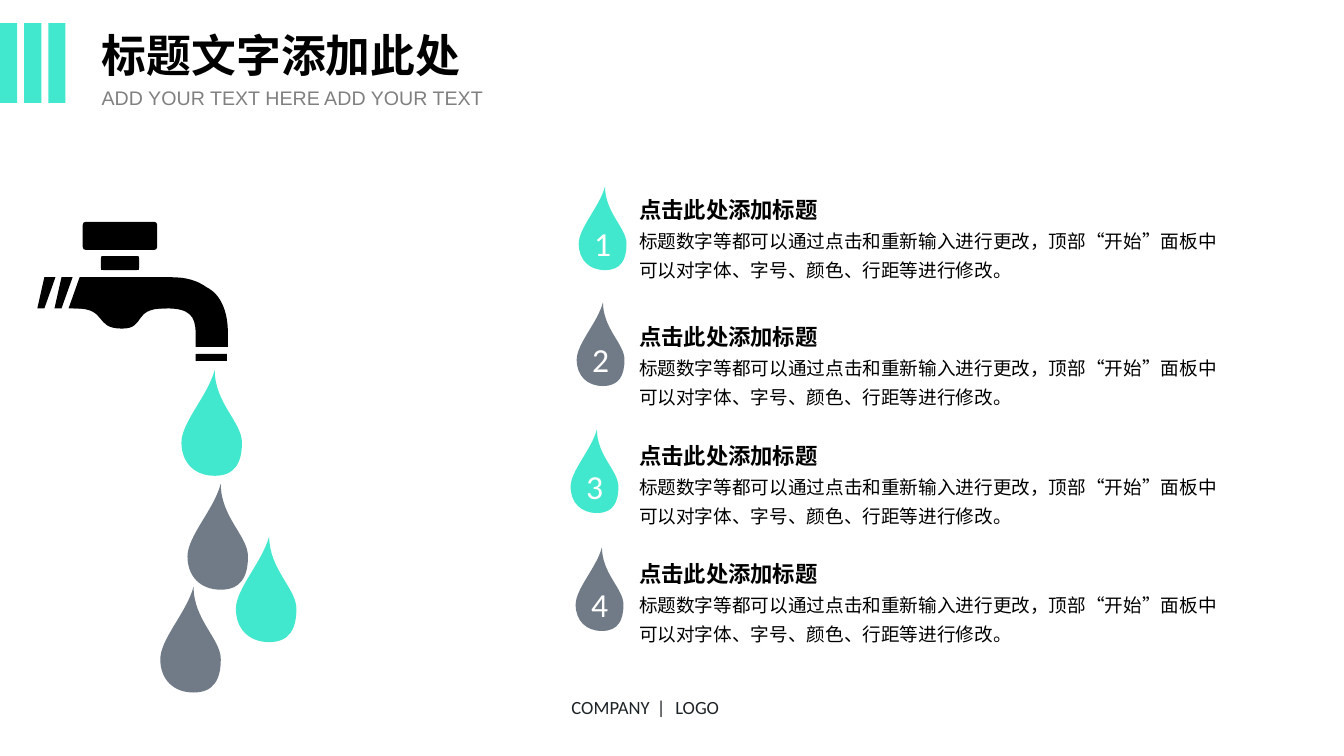
from typing import NamedTuple

from lxml.etree import SubElement
from pptx import Presentation
from pptx.dml.color import RGBColor
from pptx.enum.shapes import MSO_SHAPE as Preset
from pptx.enum.text import MSO_ANCHOR as Anchor, MSO_AUTO_SIZE as AutoSize, PP_ALIGN as Align
from pptx.oxml.ns import qn
from pptx.util import Inches, Pt

TEAL, SLATE, BLACK, WHITE = "42E8CE", "707B87", "000000", "FFFFFF"
GRAY, INK = "808080", "1E2327"
HEADING = "点击此处添加标题"
BODY = "标题数字等都可以通过点击和重新输入进行更改，顶部“开始”面板中可以对字体、字号、颜色、行距等进行修改。"

Point = tuple[float, float]


class Outline(NamedTuple):
    start: Point
    segments: list[tuple[Point, ...]]  # one point is a line, three are a Bezier curve


class Drop(NamedTuple):
    left: float
    top: float
    color: str


class Item(NamedTuple):
    drop: Drop
    text_top: float


class Block(NamedTuple):
    left: float
    top: float
    width: float
    height: float


def rounded(block: Block, radius: float) -> Outline:
    """Outline of a block with rounded corners."""
    left, top, width, height = block
    right, bottom = left + width, top + height
    return Outline((left + radius, top), [
        ((right - radius, top),),
        ((right, top), (right, top), (right, top + radius)),
        ((right, bottom - radius),),
        ((right, bottom), (right, bottom), (right - radius, bottom)),
        ((left + radius, bottom),),
        ((left, bottom), (left, bottom), (left, bottom - radius)),
        ((left, top + radius),),
        ((left, top), (left, top), (left + radius, top)),
    ])


DROP = Outline((0, 0.72), [
    ((0, 0.92), (0.13, 1.05), (0.33, 1.05)),
    ((0.53, 1.05), (0.6, 0.92), (0.6, 0.72)),
    ((0.6, 0.52), (0.33, 0.33), (0.33, 0)),
    ((0.26, 0.26), (0, 0.52), (0, 0.72)),
])
STRIPE = Outline((0.18, 0), [((0.07, 0),), ((0, 0.31),), ((0.07, 0.31),)])
HANDLE = rounded(Block(0.82, 2.2, 0.74, 0.28), 0.07)
STEM = rounded(Block(1, 2.54, 0.38, 0.14), 0.03)
SPOUT = Outline((2.05, 2.85), [
    ((1.91, 2.75), (1.77, 2.75), (1.66, 2.75)),
    ((0.79, 2.75),), ((0.68, 3.06),), ((1.66, 3.06),),
    ((1.87, 3.06), (1.94, 3.13), (1.94, 3.3)),
    ((1.94, 3.44),), ((2.26, 3.44),), ((2.26, 3.3),),
    ((2.26, 3.09), (2.19, 2.92), (2.05, 2.85)),
])
BELLY = Outline((1.63, 3.06), [
    ((1.31, 3.06), (1.45, 3.26), (1.21, 3.26)),
    ((0.93, 3.26), (1.07, 3.06), (0.75, 3.06)),
    ((0.61, 3.06), (0.93, 2.85), (1.21, 2.85)),
    ((1.45, 2.85), (1.8, 3.06), (1.63, 3.06)),
])
NOZZLE = Block(1.94, 3.51, 0.31, 0.07)
FALLING_DROPS = [Drop(1.8, 3.67, TEAL), Drop(1.86, 4.8, SLATE),
                 Drop(1.59, 5.82, SLATE), Drop(2.34, 5.32, TEAL)]
ITEMS = [Item(Drop(5.74, 1.85, TEAL), 1.82), Item(Drop(5.72, 3, SLATE), 3.08),
         Item(Drop(5.66, 4.26, TEAL), 4.26), Item(Drop(5.71, 5.43, SLATE), 5.43)]


def rgb(color: str) -> RGBColor:
    return RGBColor.from_string(color)


def paint(shape, color: str) -> None:
    shape.shadow.inherit = False
    shape.fill.solid()
    shape.fill.fore_color.rgb = rgb(color)
    shape.line.fill.background()


def style(para, size: float, color: str, name: str = "Calibri", bold: bool = False) -> None:
    for span in para.runs:
        span.font.size, span.font.name, span.font.bold = Pt(size), name, bold
        span.font.color.rgb = rgb(color)


def place(shape, left: float, top: float, width: float, height: float) -> None:
    shape.left, shape.top = Inches(left), Inches(top)
    shape.width, shape.height = Inches(width), Inches(height)


def bend(shape, outline: Outline) -> None:
    """Join the three lines that stand for each curve into one Bezier curve."""
    lines = iter(list(shape._element.iter(qn("a:lnTo"))))
    for segment in outline.segments:
        parts = [next(lines) for _ in segment]
        if len(parts) == 3:
            curve = SubElement(parts[0].getparent(), qn("a:cubicBezTo"))
            parts[0].addprevious(curve)
            for line in parts:
                curve.append(line[0])
                line.getparent().remove(line)


def add_outline(shapes, outline: Outline, color: str, left: float = 0, top: float = 0,
                scale: float = 1):
    points = [outline.start, *(point for segment in outline.segments for point in segment)]
    points = [(Inches(left + x * scale), Inches(top + y * scale)) for x, y in points]
    builder = shapes.build_freeform(*points[0], scale=1.0)
    builder.add_line_segments(points[1:], close=True)
    shape = builder.convert_to_shape()
    bend(shape, outline)
    paint(shape, color)
    return shape


def add_block(shapes, block: Block, color: str) -> None:
    paint(shapes.add_shape(Preset.RECTANGLE, *map(Inches, block)), color)


def add_text(shapes, left: float, top: float, width: float, height: float):
    box = shapes.add_textbox(*map(Inches, (left, top, width, height)))
    box.text_frame.word_wrap = True
    box.text_frame.auto_size = AutoSize.SHAPE_TO_FIT_TEXT
    return box.text_frame


def add_item(shapes, number: int, item: Item) -> None:
    frame = add_text(shapes, 6.24, item.text_top, 6.1, 1.03)
    frame.text = f"{HEADING}\n{BODY}"
    for para in frame.paragraphs:
        para.line_spacing = 1.3
    style(frame.paragraphs[0], 16, BLACK, bold=True)
    style(frame.paragraphs[1], 13.3, BLACK)

    drop = item.drop
    badge = add_outline(shapes, DROP, drop.color, drop.left, drop.top, scale=0.79).text_frame
    badge.text = str(number)
    badge.word_wrap = True
    badge.vertical_anchor = Anchor.BOTTOM
    badge.margin_left = badge.margin_right = Inches(0.13)
    badge.margin_top = badge.margin_bottom = Inches(0.07)
    badge.paragraphs[0].alignment = Align.CENTER
    style(badge.paragraphs[0], 24, WHITE)


deck = Presentation()
deck.slide_width, deck.slide_height = Inches(13.33), Inches(7.5)
page = deck.slides.add_slide(deck.slide_layouts.get_by_name("Title Only"))

# Title and subtitle
title = page.shapes.title
place(title, 0.91, 0.22, 3.79, 0.64)
title.text_frame.text = "标题文字添加此处"
title.text_frame.word_wrap = False
title.text_frame.auto_size = AutoSize.SHAPE_TO_FIT_TEXT
title.text_frame.vertical_anchor = Anchor.TOP
title.text_frame.paragraphs[0].alignment = Align.LEFT
style(title.text_frame.paragraphs[0], 32, BLACK, "Arial", bold=True)
subtitle = add_text(page.shapes, 0.91, 0.8, 5.19, 0.34)
subtitle.text = "ADD YOUR TEXT HERE ADD YOUR TEXT"
style(subtitle.paragraphs[0], 14, GRAY, "Arial")

# Bars beside the title
for index in range(3):
    add_block(page.shapes, Block(0.24 * index, 0.23, 0.17, 0.79), TEAL)

# Tap
tap = page.shapes.add_group_shape().shapes
for tap_outline in (HANDLE, STEM, SPOUT, BELLY):
    add_outline(tap, tap_outline, BLACK)
for stripe_left in (0.37, 0.54):
    add_outline(tap, STRIPE, BLACK, stripe_left, 2.75)
add_block(tap, NOZZLE, BLACK)

# Falling drops
for falling in FALLING_DROPS:
    add_outline(page.shapes, DROP, falling.color, falling.left, falling.top)

# Numbered items
for position, entry in enumerate(ITEMS, start=1):
    add_item(page.shapes, position, entry)

# Footer, with wider spacing around the bar
footer = add_text(page.shapes, 5.57, 6.79, 2.2, 0.37).paragraphs[0]
footer.line_spacing = 1.3
for words in ("COMPANY", " | ", "LOGO"):
    footer.add_run().text = words
style(footer, 13.3, INK)
footer.runs[1].font._element.set("spc", "200")

deck.save("out.pptx")
